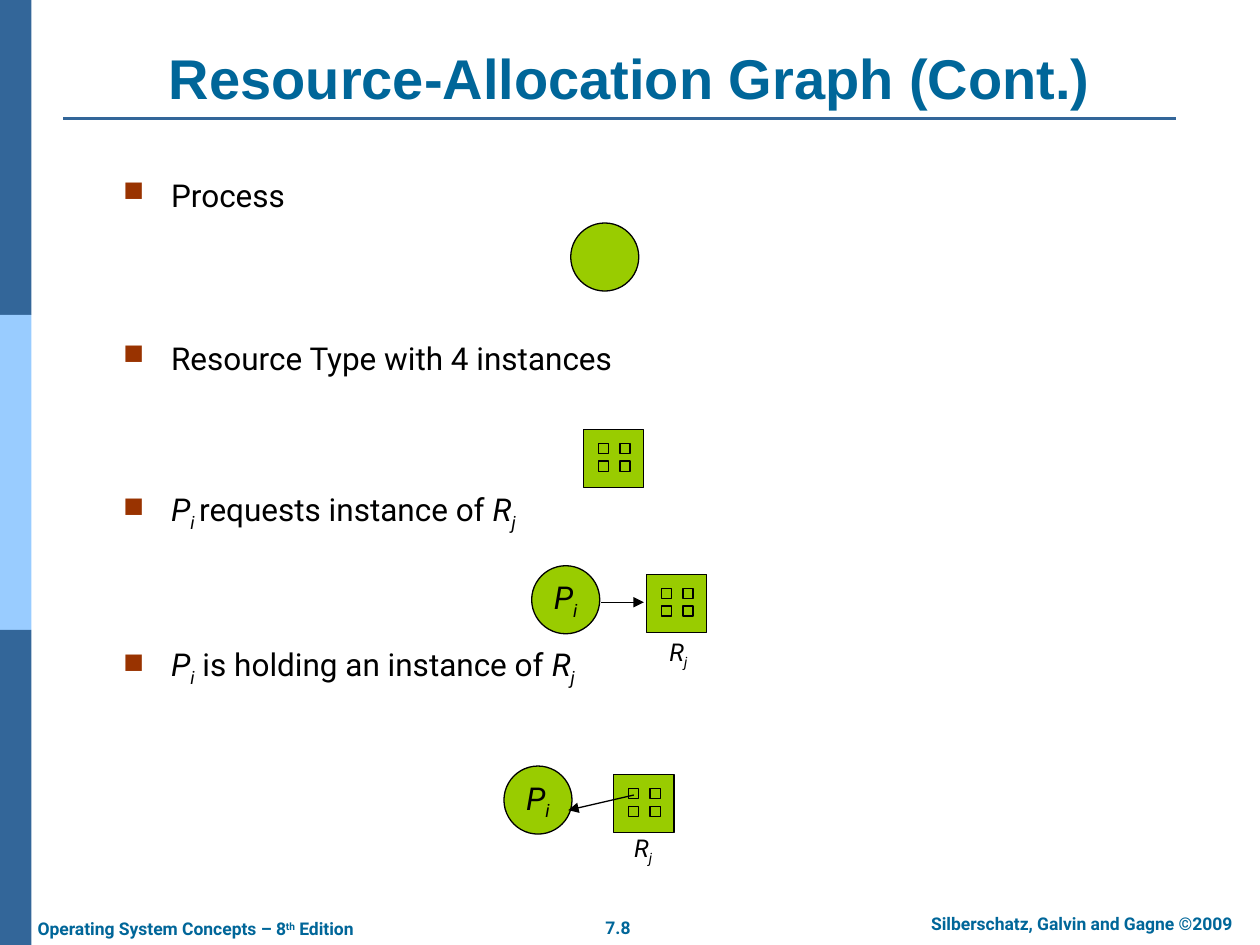
import dataclasses
import itertools
import typing

import lxml.etree
import pptx
import pptx.dml.color
import pptx.enum.shapes
import pptx.enum.text
import pptx.oxml.ns
import pptx.util

Inches = pptx.util.Inches
Pt = pptx.util.Pt
Shapes = pptx.enum.shapes.MSO_SHAPE
Align = pptx.enum.text.PP_ALIGN
Anchor = pptx.enum.text.MSO_ANCHOR

COLORS = {
    "bar": "336699",
    "bar_light": "99CCFF",
    "heading": "006699",
    "bullet": "993300",
    "node": "99CC00",
    "ink": "000000",
    "background": "FFFFFF",
}
NODE_SIZE = 0.54
RESOURCE_SIZE = (0.48, 0.46)
INSTANCE_SIZE = 0.08
INSTANCE_COLUMNS = (0.12, 0.29)
INSTANCE_ROWS = (0.11, 0.25)


class Fragment(typing.NamedTuple):
    text: str
    italic: bool = False
    baseline: int = 0


class Style(typing.NamedTuple):
    size: float
    color: str = "ink"
    font: str = "Roboto"
    bold: bool = False


@dataclasses.dataclass
class Label:
    box: tuple[float, float, float, float]
    fragments: list[Fragment]
    style: Style
    align: Align = Align.CENTER
    anchor: Anchor = Anchor.TOP
    wrap: bool = False


@dataclasses.dataclass
class Bullet:
    fragments: list[Fragment]
    space_before: float


@dataclasses.dataclass
class Arrow:
    start: tuple[float, float]
    end: tuple[float, float]


PROCESS = [Fragment("P", True), Fragment("i", True, -25)]
RESOURCE = [Fragment("R", True), Fragment("j", True, -25)]
FOOTER = Style(10, "heading", bold=True)
BODY = Style(18)
CAPTION = Style(14)

LABELS = [
    Label((4.66, 7.23, 0.49, 0.27), [Fragment("7.8")], FOOTER),
    Label((7.1, 7.2, 2.97, 0.27), [Fragment("Silberschatz, Galvin and Gagne ©2009")], FOOTER, wrap=True),
    Label(
        (0.2, 7.24, 2.88, 0.27),
        [Fragment("Operating System Concepts – 8"), Fragment("th", baseline=30), Fragment(" Edition")],
        FOOTER,
        Align.LEFT,
    ),
    Label(
        (0.5, 0.3, 9, 0.63),
        [Fragment("Resource-Allocation Graph (Cont.)")],
        Style(32, "heading", "Arial", True),
        anchor=Anchor.BOTTOM,
        wrap=True,
    ),
    Label((5.2, 5.02, 0.37, 0.33), RESOURCE, CAPTION, anchor=Anchor.MIDDLE),
    Label((4.92, 6.58, 0.37, 0.33), RESOURCE, CAPTION, anchor=Anchor.MIDDLE),
]
BULLETS = [
    Bullet([Fragment("Process")], 0),
    Bullet([Fragment("Resource Type with 4 instances")], 71.5),
    Bullet([PROCESS[0], Fragment("i ", True, -25), Fragment("requests instance of ")] + RESOURCE, 64.4),
    Bullet(PROCESS + [Fragment(" is holding an instance of ")] + RESOURCE, 64.4),
]
NODES = [(4.53, 1.77, []), (4, 6.08, PROCESS), (4.22, 4.49, PROCESS)]
RESOURCES = [(4.63, 3.41), (5.13, 4.56), (4.87, 6.15)]
ARROWS = [Arrow((4.77, 4.78), (5.11, 4.78)), Arrow((5.03, 6.31), (4.51, 6.43))]


def rgb(name: str) -> pptx.dml.color.RGBColor:
    return pptx.dml.color.RGBColor.from_string(COLORS[name])


def add_child(parent, tag: str, **attributes: str):
    child = lxml.etree.SubElement(parent, pptx.oxml.ns.qn(tag))
    for key, value in attributes.items():
        child.set(key, value)
    return child


def write_fragments(paragraph, fragments: list[Fragment], style: Style) -> None:
    for fragment in fragments:
        run = paragraph.add_run()
        run.text = fragment.text
        run.font.name = style.font
        run.font.size = Pt(style.size)
        run.font.bold = style.bold
        run.font.italic = fragment.italic
        run.font.color.rgb = rgb(style.color)
        if fragment.baseline:
            run._r.get_or_add_rPr().set("baseline", str(fragment.baseline * 1000))


def draw_shape(shapes, kind: Shapes, box: tuple, fill: str, line: str | None = None):
    shape = shapes.add_shape(kind, *map(Inches, box))
    shape.shadow.inherit = False
    shape.fill.solid()
    shape.fill.fore_color.rgb = rgb(fill)
    if line:
        shape.line.color.rgb = rgb(line)
        shape.line.width = Pt(0.75)
    else:
        shape.line.fill.background()
    return shape


def draw_line(shapes, start: tuple, end: tuple, color: str, width: float):
    connector = shapes.add_connector(
        pptx.enum.shapes.MSO_CONNECTOR.STRAIGHT, *map(Inches, start + end)
    )
    connector.line.color.rgb = rgb(color)
    connector.line.width = Pt(width)
    add_child(connector._element.spPr, "a:effectLst")
    return connector


def draw_arrow(shapes, arrow: Arrow) -> None:
    connector = draw_line(shapes, arrow.start, arrow.end, "ink", 0.75)
    add_child(connector.line._get_or_add_ln(), "a:tailEnd", type="triangle")


def draw_label(shapes, label: Label) -> None:
    text_frame = shapes.add_textbox(*map(Inches, label.box)).text_frame
    text_frame.word_wrap = label.wrap
    text_frame.vertical_anchor = label.anchor
    paragraph = text_frame.paragraphs[0]
    paragraph.alignment = label.align
    write_fragments(paragraph, label.fragments, label.style)


def draw_bullets(shapes, bullets: list[Bullet]) -> None:
    text_frame = shapes.add_textbox(Inches(0.88), Inches(1.35), Inches(9), Inches(4.95)).text_frame
    text_frame.word_wrap = True
    for index, bullet in enumerate(bullets):
        paragraph = text_frame.add_paragraph() if index else text_frame.paragraphs[0]
        properties = paragraph._p.get_or_add_pPr()
        properties.set("marL", str(Inches(0.38)))
        properties.set("indent", str(Inches(-0.38)))
        bullet_color = add_child(properties, "a:buClr")
        add_child(bullet_color, "a:srgbClr", val=COLORS["bullet"])
        add_child(properties, "a:buSzPct", val="90000")
        add_child(properties, "a:buChar", char="■")
        paragraph.space_before = Pt(bullet.space_before)
        write_fragments(paragraph, bullet.fragments, BODY)


def draw_node(shapes, left: float, top: float, fragments: list[Fragment]) -> None:
    node = draw_shape(shapes, Shapes.OVAL, (left, top, NODE_SIZE, NODE_SIZE), "node", "ink")
    node.text_frame.word_wrap = False
    node.text_frame.vertical_anchor = Anchor.MIDDLE
    paragraph = node.text_frame.paragraphs[0]
    paragraph.alignment = Align.CENTER
    write_fragments(paragraph, fragments, BODY)


def draw_resource(shapes, left: float, top: float) -> None:
    group = shapes.add_group_shape()
    draw_shape(group.shapes, Shapes.RECTANGLE, (left, top) + RESOURCE_SIZE, "node", "ink")
    for row, column in itertools.product(INSTANCE_ROWS, INSTANCE_COLUMNS):
        box = (left + column, top + row, INSTANCE_SIZE, INSTANCE_SIZE)
        draw_shape(group.shapes, Shapes.RECTANGLE, box, "node", "ink")


def main() -> None:
    presentation = pptx.Presentation()
    presentation.slide_width = Inches(10)
    presentation.slide_height = Inches(7.5)
    slide = presentation.slides.add_slide(presentation.slide_layouts[6])
    slide.background.fill.solid()
    slide.background.fill.fore_color.rgb = rgb("background")
    shapes = slide.shapes
    for index, color in enumerate(("bar", "bar_light", "bar")):
        draw_shape(shapes, Shapes.RECTANGLE, (0, 2.5 * index, 0.25, 2.5), color)
    draw_line(shapes, (0.5, 0.94), (9.33, 0.94), "bar", 1.5)
    draw_bullets(shapes, BULLETS)
    for node in NODES:
        draw_node(shapes, *node)
    for resource in RESOURCES:
        draw_resource(shapes, *resource)
    for arrow in ARROWS:
        draw_arrow(shapes, arrow)
    for label in LABELS:
        draw_label(shapes, label)
    presentation.save("out.pptx")


if __name__ == "__main__":
    main()
